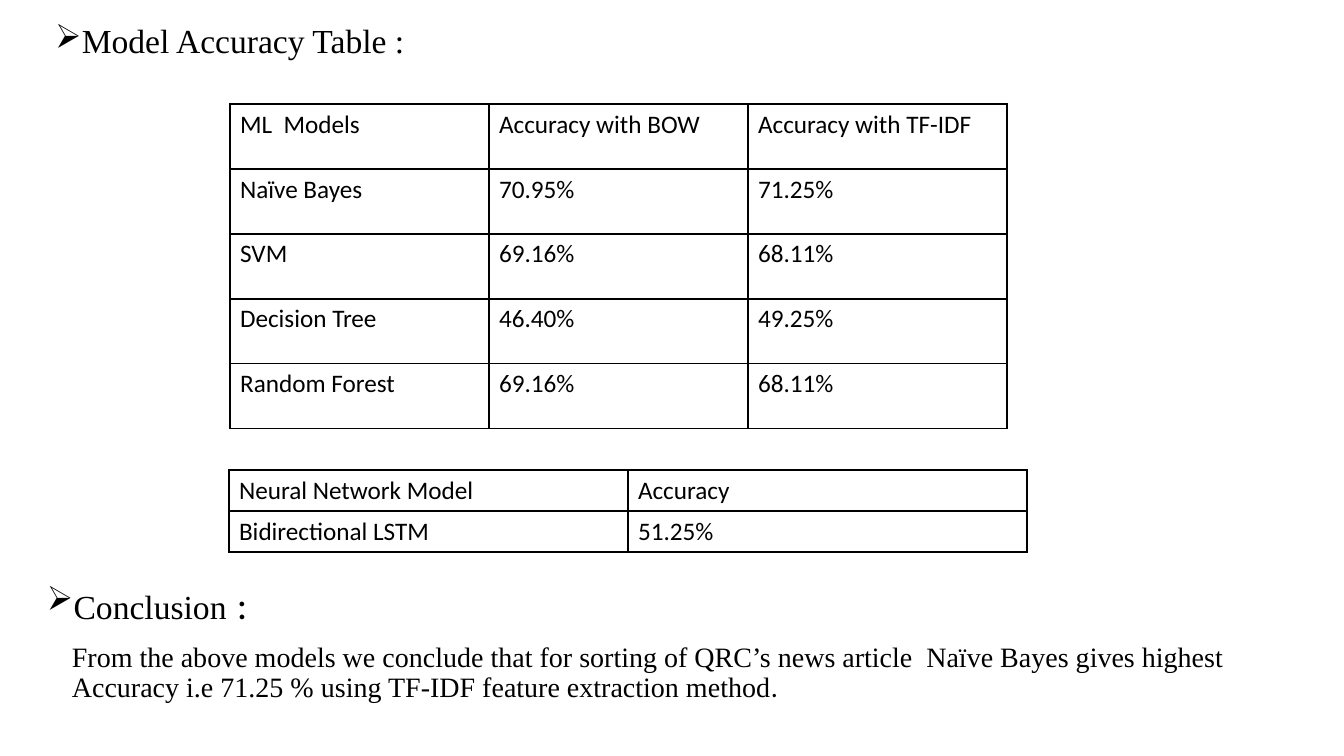
from lxml.etree import SubElement
from pptx import Presentation
from pptx.dml.color import RGBColor as Rgb
from pptx.enum.text import MSO_ANCHOR as Anchor, MSO_AUTO_SIZE as AutoSize, PP_ALIGN as Align
from pptx.oxml import parse_xml
from pptx.oxml.ns import nsdecls, qn
from pptx.util import Emu, Pt

PX = 914400 / 100.8
COLORS = {"ink": "000000", "paper": "FFFFFF"}
SERIF, SANS = "Times New Roman", "Calibri"

HEADING = [("Model Accuracy Table :", SERIF, 24)]
CONCLUSION_HEADING = [("Conclusion", SERIF, 24), (" ", SANS, 32), (":", SANS, 28)]
CONCLUSION = [
    ("From the above models we conclude that for sorting of QRC’s news article  Naïve Bayes "
     "gives highest Accuracy i.e 71.25 % using TF-IDF feature extraction method", SERIF, 20),
    (".", SANS, 20),
]
ML_ACCURACY = [
    ("ML  Models", "Accuracy with BOW", "Accuracy with TF-IDF"),
    ("Naïve Bayes", "70.95%", "71.25%"),
    ("SVM", "69.16%", "68.11%"),
    ("Decision Tree", "46.40%", "49.25%"),
    ("Random Forest", "69.16%", "68.11%"),
]
NEURAL_ACCURACY = [
    ("Neural Network Model", "Accuracy"),
    ("Bidirectional LSTM", "51.25%"),
]

FRAME_FORMAT = {"word_wrap": True, "auto_size": AutoSize.NONE, "vertical_anchor": Anchor.TOP}
HEADING_FORMAT = {"alignment": Align.LEFT, "line_spacing": 1.0, "space_before": Pt(0)}
CONCLUSION_FORMAT = {"alignment": Align.LEFT, "line_spacing": 0.9, "space_before": Pt(10)}
TABLE_FORMAT = {"first_row": False, "horz_banding": False}


def px(length):
    return Emu(round(length * PX))


def apply_format(target, values):
    for name, value in values.items():
        setattr(target, name, value)


def write_runs(paragraph, runs):
    for text, font_name, size in runs:
        run = paragraph.add_run()
        run.text = text
        apply_format(run.font, {"name": font_name, "size": Pt(size), "bold": False})
        run.font.color.rgb = Rgb.from_string(COLORS["ink"])


def write_paragraph(paragraph, runs, values, margin=0, indent=0, bullet=None):
    apply_format(paragraph, values)
    properties = paragraph._p.get_or_add_pPr()
    properties.set("marL", str(px(margin)))
    properties.set("indent", str(px(indent)))
    if bullet:
        SubElement(properties, qn("a:buChar")).set("char", bullet)
    else:
        SubElement(properties, qn("a:buNone"))
    write_runs(paragraph, runs)


def add_border(cell):
    properties = cell._tc.get_or_add_tcPr()
    for position, side in enumerate("LRTB"):
        properties.insert(position, parse_xml(
            f'<a:ln{side} {nsdecls("a")} w="{Pt(1)}"><a:solidFill>'
            f'<a:srgbClr val="{COLORS["ink"]}"/></a:solidFill></a:ln{side}>'))


def add_accuracy_table(slide, rows, left, top, column_width, row_height):
    table = slide.shapes.add_table(
        len(rows), len(rows[0]), px(left), px(top),
        px(column_width * len(rows[0])), px(row_height * len(rows))).table
    apply_format(table, TABLE_FORMAT)
    for row, texts in enumerate(rows):
        for column, text in enumerate(texts):
            cell = table.cell(row, column)
            cell.fill.solid()
            cell.fill.fore_color.rgb = Rgb.from_string(COLORS["paper"])
            add_border(cell)
            write_runs(cell.text_frame.paragraphs[0], [(text, SANS, 18)])


def set_heading(slide):
    heading = slide.shapes.title
    apply_format(heading, {"left": px(45), "top": px(15), "width": px(390), "height": px(112)})
    apply_format(heading.text_frame, FRAME_FORMAT)
    write_paragraph(heading.text_frame.paragraphs[0], HEADING, HEADING_FORMAT, bullet="➢")


def add_conclusion(slide):
    frame = slide.shapes.add_textbox(px(37), px(576), px(1278), px(142)).text_frame
    apply_format(frame, FRAME_FORMAT)
    write_paragraph(frame.paragraphs[0], CONCLUSION_HEADING, CONCLUSION_FORMAT, 25, -25, "➢")
    write_paragraph(frame.add_paragraph(), CONCLUSION, CONCLUSION_FORMAT, 25)


def main():
    deck = Presentation()
    apply_format(deck, {"slide_width": px(1344), "slide_height": px(756)})
    slide = deck.slides.add_slide(deck.slide_layouts[5])
    set_heading(slide)
    add_accuracy_table(slide, ML_ACCURACY, 230, 104, 259, 65)
    add_accuracy_table(slide, NEURAL_ACCURACY, 229, 470, 399, 41)
    add_conclusion(slide)
    deck.save("out.pptx")


if __name__ == "__main__":
    main()
